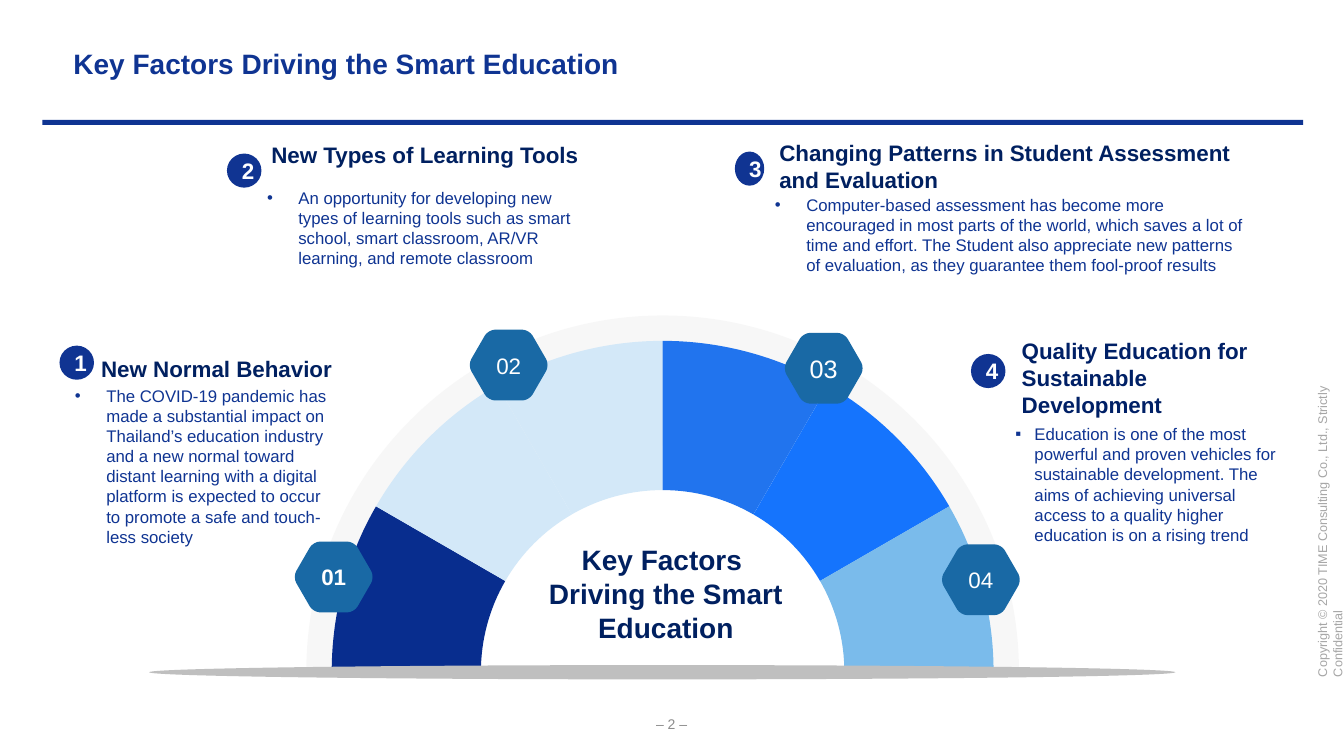
import math
import dataclasses

import lxml.etree
import pptx
import pptx.dml.color
import pptx.enum.shapes
import pptx.enum.text
import pptx.oxml.ns
import pptx.util

Cm = pptx.util.Cm
RGBColor = pptx.dml.color.RGBColor
SHAPES = pptx.enum.shapes.MSO_SHAPE
ALIGN = pptx.enum.text.PP_ALIGN
ANCHOR = pptx.enum.text.MSO_ANCHOR
qn = pptx.oxml.ns.qn

BLUE = RGBColor(0x0F, 0x34, 0x92)
BADGE_BLUE = RGBColor(0x10, 0x34, 0x92)
NAVY = RGBColor(0x00, 0x20, 0x60)
DEEP_NAVY = RGBColor(0x00, 0x20, 0x66)
WHITE = RGBColor(0xFF, 0xFF, 0xFF)
TEAL = RGBColor(0x19, 0x69, 0xA5)
HALO = RGBColor(0xD9, 0xD9, 0xD9)
GROUND = RGBColor(0xBF, 0xBF, 0xBF)
PAGE_GREY = RGBColor(0x8C, 0x8C, 0x8C)
COPYRIGHT_GREY = RGBColor(0xA6, 0xA6, 0xA6)
INDIGO = RGBColor(0x08, 0x2D, 0x8E)
PALE = RGBColor(0xD3, 0xE8, 0xF8)
ROYAL = RGBColor(0x21, 0x74, 0xEE)
VIVID = RGBColor(0x15, 0x74, 0xFD)
SKY = RGBColor(0x7A, 0xBB, 0xEB)

DEFAULT_INSETS = (0.25, 0.13)
FLUSH_INSETS = (0, 0.13)


@dataclasses.dataclass
class Factor:
    """One driver; heading and body boxes are in cm from the badge's corner."""
    origin: tuple
    heading: str
    heading_box: tuple
    body: str
    body_box: tuple
    heading_insets: tuple = DEFAULT_INSETS
    heading_anchor: ANCHOR = ANCHOR.TOP
    heading_color: RGBColor = NAVY
    bullet: str = "•"
    indent: float = 0.79
    badge_width: float = 0.87


FACTORS = [
    Factor((1.5, 8.71), "New Normal Behavior", (1.05, 0.1, 7.19, 0.94),
           "The COVID-19 pandemic has made a substantial impact on Thailand’s "
           "education industry and a new normal toward distant learning with a "
           "digital platform is expected to occur to promote a safe and "
           "touch-less society",
           (0.39, 0.87, 6.48, 4.37), FLUSH_INSETS, ANCHOR.BOTTOM),
    Factor((5.72, 3.87), "New Types of Learning Tools", (0.87, -0.44, 8.38, 0.94),
           "An opportunity for developing new types of learning tools such as "
           "smart school, smart classroom, AR/VR learning, and remote classroom",
           (1.01, 0.72, 8.26, 2.31)),
    Factor((18.52, 3.82), "Changing Patterns in Student Assessment and Evaluation",
           (0.87, -0.44, 12.27, 1.63),
           "Computer-based assessment has become more encouraged in most parts "
           "of the world, which saves a lot of time and effort. The Student also "
           "appreciate new patterns of evaluation, as they guarantee them "
           "fool-proof results",
           (1.01, 0.95, 11.81, 2.31), badge_width=0.74),
    Factor((24.47, 8.92), "Quality Education for Sustainable Development",
           (1.28, -0.57, 5.92, 2.31),
           "Education is one of the most powerful and proven vehicles for "
           "sustainable development. The aims of achieving universal access to a "
           "quality higher education is on a rising trend",
           (1.12, 1.63, 6.78, 3.33), FLUSH_INSETS, ANCHOR.BOTTOM, DEEP_NAVY,
           "▪", 0.48),
]

# Sectors run clockwise from the left end of the arch, 30 degrees each.
SECTOR_COLORS = [INDIGO, PALE, PALE, ROYAL, VIVID, SKY]
# Hexagon label, centre relative to the arch centre, size, bold.
MARKERS = [
    ("01", (-8.29, -2.39), 16, True),
    ("02", (-3.88, -7.73), 16, False),
    ("03", (4.06, -7.65), 18, False),
    ("04", (8.02, -2.32), 16, False),
]


def write(frame, text, *, size, color, bold=False, align=ALIGN.LEFT,
          anchor=ANCHOR.TOP, insets=DEFAULT_INSETS, bullet=None, indent=0):
    frame.word_wrap = True
    frame.vertical_anchor = anchor
    frame.margin_left = frame.margin_right = Cm(insets[0])
    frame.margin_top = frame.margin_bottom = Cm(insets[1])
    paragraph = frame.paragraphs[0]
    paragraph.text = text
    paragraph.alignment = align
    if bullet:
        properties = paragraph._p.get_or_add_pPr()
        properties.set("marL", str(Cm(indent)))
        properties.set("indent", str(-Cm(indent)))
        lxml.etree.SubElement(properties, qn("a:buFont")).set("typeface", "Arial")
        lxml.etree.SubElement(properties, qn("a:buChar")).set("char", bullet)
    for run in paragraph.runs:
        run.font.name = "Arial"
        run.font.size = pptx.util.Pt(size)
        run.font.bold = bold
        run.font.color.rgb = color


def add_text(slide, box, text, **text_format):
    label = slide.shapes.add_textbox(*map(Cm, box))
    write(label.text_frame, text, **text_format)
    return label


def paint(shape, color):
    shape.shadow.inherit = False
    shape.fill.solid()
    shape.fill.fore_color.rgb = color
    shape.line.fill.background()
    return shape


def add_preset(slide, preset, box, color):
    return paint(slide.shapes.add_shape(preset, *map(Cm, box)), color)


def add_outline(slide, start, segments, color):
    """A segment of one point is a line, one of three points a cubic curve."""
    builder = slide.shapes.build_freeform(Cm(start[0]), Cm(start[1]))
    builder.add_line_segments(
        [(Cm(x), Cm(y)) for segment in segments for x, y in segment], close=True)
    shape = builder.convert_to_shape()
    lines = iter(list(shape._element.iter(qn("a:lnTo"))))
    for segment in segments:
        first, *others = [next(lines) for _ in segment]
        if others:
            first.tag = qn("a:cubicBezTo")
            for line in others:
                first.append(line[0])
                line.getparent().remove(line)
    return paint(shape, color)


def polar(center, radius, degrees):
    angle = math.radians(degrees)
    return (center[0] + radius * math.cos(angle),
            center[1] + radius * math.sin(angle))


def arc(center, radius, start, end):
    """Cubic segments of at most 90 degrees each."""
    count = math.ceil(abs(end - start) / 90)
    sweep = (end - start) / count
    handle = 4 / 3 * math.tan(math.radians(sweep) / 4)
    reach = radius * math.hypot(1, handle)
    tilt = math.degrees(math.atan(handle))
    segments = []
    for i in range(count):
        a, b = start + i * sweep, start + (i + 1) * sweep
        segments.append([polar(center, reach, a + tilt),
                         polar(center, reach, b - tilt),
                         polar(center, radius, b)])
    return segments


def add_ring_sector(slide, center, inner, outer, start, end, color):
    """Angles are in degrees, clockwise from the positive x axis."""
    segments = (arc(center, outer, start, end) + [[polar(center, inner, end)]]
                + arc(center, inner, end, start))
    return add_outline(slide, polar(center, outer, start), segments, color)


def add_hexagon(slide, center, color, radius=1.03, trim=0.17, handle=0.08):
    """Regular hexagon; curves start at trim from each corner."""
    corners = [polar(center, radius, 60 * i) for i in range(6)]

    def toward(corner, neighbour, distance):
        return tuple(c + (n - c) * distance / radius
                     for c, n in zip(corner, neighbour))

    segments = []
    for i, corner in enumerate(corners):
        before, after = corners[i - 1], corners[(i + 1) % 6]
        segments += [[toward(corner, before, trim)],
                     [toward(corner, before, handle),
                      toward(corner, after, handle),
                      toward(corner, after, trim)]]
    return add_outline(slide, segments[0][0], segments[1:], color)


def add_frame(slide, width):
    """Title, rule, page number and copyright line."""
    title = slide.shapes.title
    title.left, title.top, title.width, title.height = map(
        Cm, (1.6, 1.04, 27.79, 1.12))
    write(title.text_frame, "Key Factors Driving the Smart Education",
          size=20, color=BLUE, bold=True)
    add_preset(slide, SHAPES.RECTANGLE, (1.07, 3.02, width - 2.1, 0.13), BLUE)
    add_text(slide, (15.67, 17.98, 2.51, 0.53), "– 2 –", size=10,
             color=PAGE_GREY, align=ALIGN.CENTER, anchor=ANCHOR.MIDDLE)
    copyright_line = add_text(
        slide, (28.85, 12.52, 8.94, 0.64),
        "Copyright © 2020 TIME Consulting Co., Ltd., Strictly Confidential",
        size=9, color=COPYRIGHT_GREY)
    copyright_line.rotation = 270


def add_arch(slide, center, inner=4.58, outer=8.34):
    halo = add_ring_sector(slide, center, 5.7, 8.98, 180, 360, HALO)
    halo_color = halo.fill._xPr.find(".//" + qn("a:srgbClr"))
    lxml.etree.SubElement(halo_color, qn("a:alpha")).set("val", "20000")
    for i, color in enumerate(SECTOR_COLORS):
        start = 180 + 30 * i
        add_ring_sector(slide, center, inner, outer, start, start + 30, color)
    x, y = center
    add_preset(slide, SHAPES.OVAL, (x - 12.94, y - 0.17, 25.86, 0.36), GROUND)
    add_text(slide, (x - 3.64, y - 3.38, 7.44, 2.82),
             "Key Factors \vDriving the Smart Education", size=20, color=NAVY,
             bold=True, align=ALIGN.CENTER)
    for label, (dx, dy), size, bold in MARKERS:
        marker = add_hexagon(slide, (x + dx, y + dy), TEAL)
        write(marker.text_frame, label, size=size, color=WHITE, bold=bold,
              align=ALIGN.CENTER, anchor=ANCHOR.MIDDLE, insets=(0.1, 0.1))


def add_factor(slide, number, factor):
    x, y = factor.origin
    badge = add_preset(slide, SHAPES.OVAL, (x, y, factor.badge_width, 0.86),
                       BADGE_BLUE)
    write(badge.text_frame, str(number), size=16, color=WHITE, bold=True,
          align=ALIGN.CENTER, anchor=ANCHOR.MIDDLE)
    dx, dy, *extent = factor.heading_box
    add_text(slide, (x + dx, y + dy, *extent), factor.heading, size=16,
             color=factor.heading_color, bold=True,
             anchor=factor.heading_anchor, insets=factor.heading_insets)
    dx, dy, *extent = factor.body_box
    add_text(slide, (x + dx, y + dy, *extent), factor.body, size=12, color=BLUE,
             insets=FLUSH_INSETS, bullet=factor.bullet, indent=factor.indent)


def main():
    deck = pptx.Presentation()
    deck.slide_width, deck.slide_height = Cm(33.87), Cm(19.05)
    slide = deck.slides.add_slide(deck.slide_layouts[5])
    add_frame(slide, 33.87)
    add_arch(slide, (16.7, 16.93))
    for number, factor in enumerate(FACTORS, start=1):
        add_factor(slide, number, factor)
    deck.save("out.pptx")


if __name__ == "__main__":
    main()
